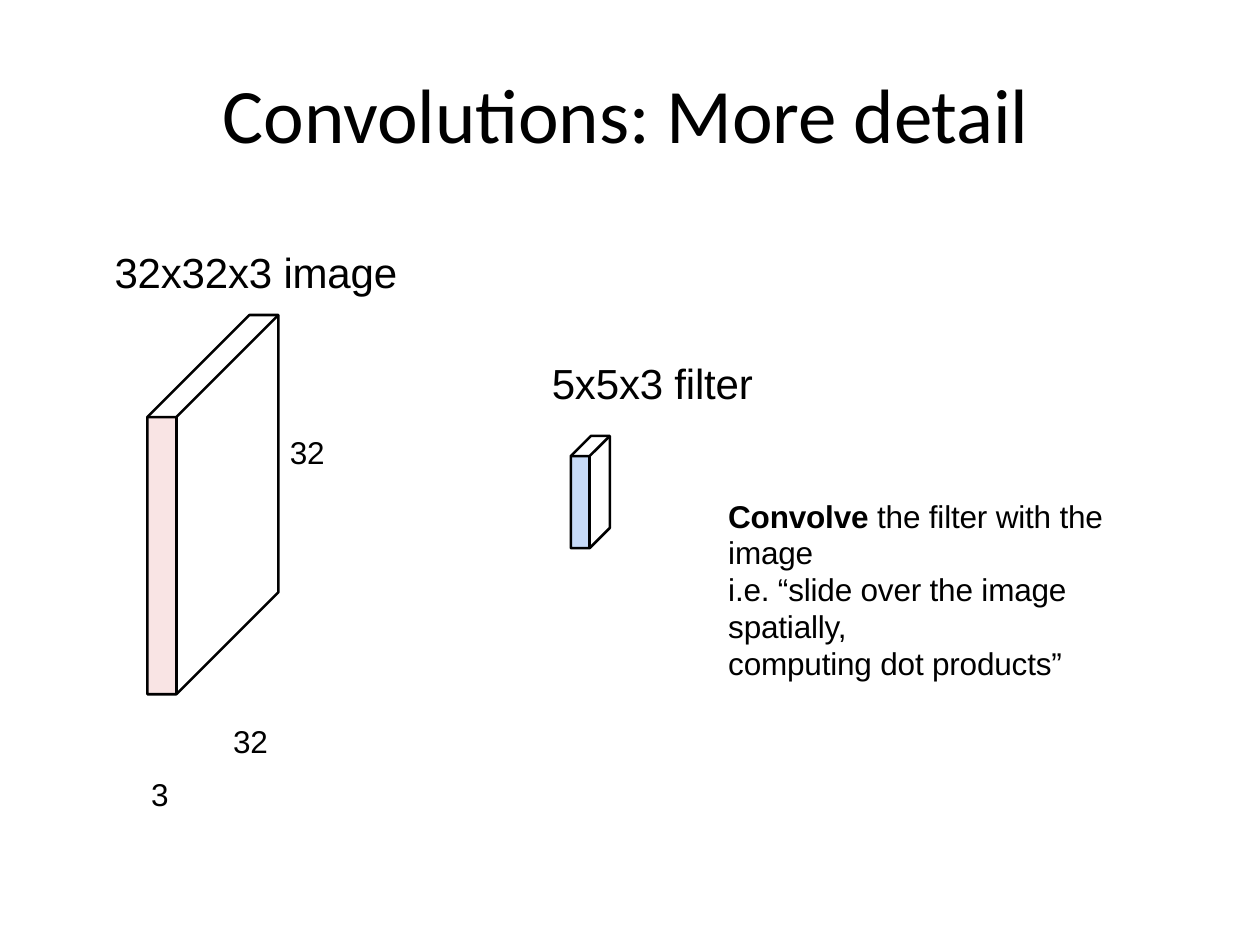
from lxml import etree
from pptx import Presentation
from pptx import util as u
from pptx.dml import color
from pptx.enum import text
from pptx.oxml import ns

COLORS = {"ink": "000000", "image": "F4CCCC", "filter": "C7DAF7"}

prs = Presentation()
prs.slide_width, prs.slide_height = u.Inches(10), u.Inches(7.5)
s = prs.slides.add_slide(prs.slide_layouts[6])


def add_outline(shapes, contours):
    """Build one freeform from (points, closed) contours given in inches."""
    contours = [([(u.Inches(x), u.Inches(y)) for x, y in pts], closed)
                for pts, closed in contours]
    fb = shapes.build_freeform(*contours[0][0][0])
    for i, (pts, closed) in enumerate(contours):
        if i:
            fb.move_to(*pts[0])
        fb.add_line_segments(pts[1:], close=closed)
    sp = fb.convert_to_shape()
    sp.shadow.inherit = False
    return sp


def add_label(box, paragraphs, size, name="Arial", align=text.PP_ALIGN.LEFT, wrap=False):
    """Add a text box; each paragraph is a list of (text, bold) runs."""
    tf = s.shapes.add_textbox(*map(u.Inches, box)).text_frame
    tf.word_wrap = wrap
    for side in ("left", "top", "right", "bottom"):
        setattr(tf, f"margin_{side}", 0)
    for i, runs in enumerate(paragraphs):
        p = tf.paragraphs[0] if i == 0 else tf.add_paragraph()
        p.alignment = align
        if wrap:
            p.line_spacing = u.Pt(21)
        for words, bold in runs:
            r = p.add_run()
            r.text = words
            for key, value in {"name": name, "size": u.Pt(size), "bold": bold}.items():
                setattr(r.font, key, value)
            r.font.color.rgb = color.RGBColor.from_string(COLORS["ink"])
            r._r.get_or_add_rPr().set("spc", "-10")


# Cuboids: front face left, top, width, height, then depth and front opacity
cuboids = [
    ("image", 1.17, 3.31, 0.23, 2.2, 0.81, 52),
    ("filter", 4.53, 3.62, 0.15, 0.73, 0.16, 100),
]
for key, x, y, w, h, d, opacity in cuboids:
    grp = s.shapes.add_group_shape()
    right, bottom = x + w, y + h
    corner = (right + d, y - d)

    # Tinted front face
    front = [(right, y), (x, y), (x, bottom), (right, bottom)]
    sp = add_outline(grp.shapes, [(front, True)])
    sp.fill.solid()
    sp.fill.fore_color.rgb = color.RGBColor.from_string(COLORS[key])
    sp.line.fill.background()
    if opacity < 100:
        clr = sp.fill._xPr.find(ns.qn("a:solidFill"))[0]
        etree.SubElement(clr, ns.qn("a:alpha")).set("val", str(opacity * 1000))

    # Silhouette and inner edges
    silhouette = [(x, y), (x + d, y - d), corner, (right + d, bottom - d),
                  (right, bottom), (x, bottom)]
    sp = add_outline(grp.shapes, [
        (silhouette, True),
        ([(x, y), (right, y), corner], False),
        ([(right, y), (right, bottom)], False),
    ])
    sp.fill.background()
    sp.line.color.rgb = color.RGBColor.from_string(COLORS["ink"])
    sp.line.width = u.Pt(1.44)

# Title
add_label((1.77, 0.53, 6.46, 0.76), [[("Convolutions: More detail", False)]], 44, "Calibri")

# Captions and dimensions
labels = [
    ("32x32x3 image", 0.91, 1.96, 2.3, 24),
    ("5x5x3 filter", 4.38, 2.84, 1.65, 24),
    ("32", 2.3, 3.44, 0.3, 18),
    ("32", 1.85, 5.73, 0.3, 18),
    ("3", 1.2, 6.15, 0.15, 18),
]
for words, x, y, w, size in labels:
    add_label((x, y, w, size / 60), [[(words, False)]], size)

# Explanation
add_label((5.78, 3.95, 3.4, 1.46), [
    [("Convolve ", True), ("the filter with the image", False)],
    [("i.e. “slide over the image spatially,", False)],
    [("computing dot products”", False)],
], 18, wrap=True)

prs.save("out.pptx")
